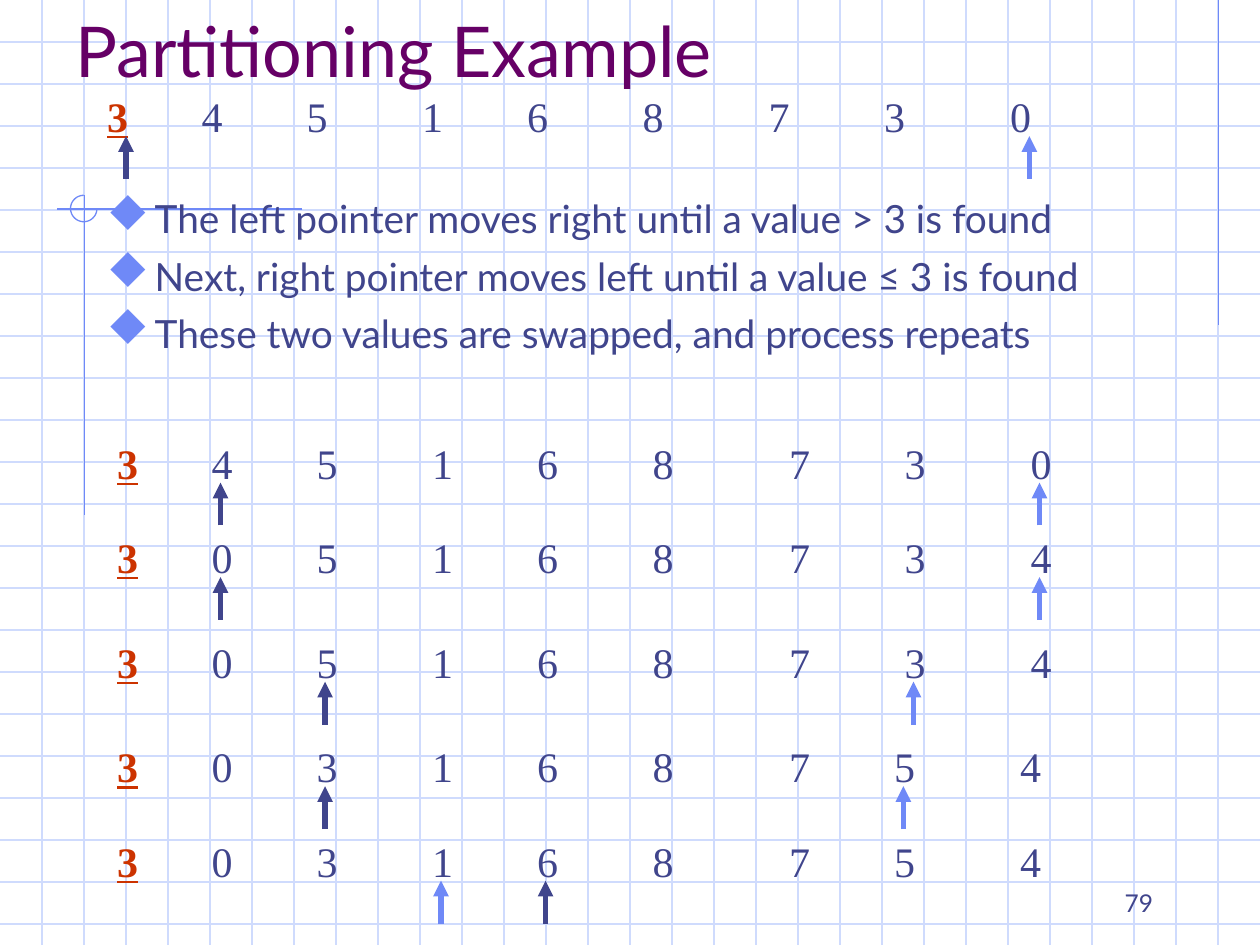
from math import cos, pi, sin
from lxml.etree import SubElement
from pptx import Presentation
from pptx.dml.color import RGBColor
from pptx.enum.shapes import MSO_CONNECTOR
from pptx.enum.text import MSO_ANCHOR, MSO_AUTO_SIZE, PP_ALIGN
from pptx.oxml.ns import qn
from pptx.util import Inches, Pt

COLORS = {
    "grid": "CFDBFD",
    "blue": "6F89F7",
    "navy": "40458C",
    "title": "660066",
    "pivot": "CC3300",
}
BULLETS = [
    "The left pointer moves right until a value > 3 is found",
    "Next, right pointer moves left until a value ≤ 3 is found",
    "These two values are swapped, and process repeats",
]
FIRST = [9, 19, 30, 40, 51, 63, 74, 86]
WIDE = [9, 19, 30, 40, 51, 64, 75, 87]
NARROW = [9, 19, 30, 40, 51, 64, 74, 86]
ROWS = [
    (0.58, 0.67, "345168730", FIRST, 1, 8.17),
    (0.66, 3.42, "345168730", WIDE, 1.75, 8.25),
    (0.66, 4.17, "305168734", WIDE, 1.75, 8.25),
    (0.66, 5, "305168734", WIDE, 2.58, 7.25),
    (0.66, 5.83, "303168754", NARROW, 2.58, 7.17),
    (0.66, 6.58, "303168754", NARROW, 4.33, 3.5),
]


def rgb(name):
    return RGBColor.from_string(COLORS[name])


def write(par, text, size=24, font="Lato", color="navy", bold=False, under=False):
    run = par.add_run()
    run.text = text
    style = run.font
    style.size, style.name = Pt(size), font
    style.bold, style.underline = bold, under
    style.color.rgb = rgb(color)


class Deck:
    def __init__(self):
        self.prs = Presentation()
        self.prs.slide_width, self.prs.slide_height = Inches(10), Inches(7.5)
        self.slide = self.prs.slides.add_slide(self.prs.slide_layouts[5])
        self.shapes = self.slide.shapes

    def line(self, x1, y1, x2, y2, color="blue", width=0.75, arrow=False):
        ends = [Inches(v) for v in (x1, y1, x2, y2)]
        line = self.shapes.add_connector(MSO_CONNECTOR.STRAIGHT, *ends)
        line.line.color.rgb = rgb(color)
        line.line.width = Pt(width)
        props = line.element.spPr
        if arrow:
            SubElement(props.find(qn("a:ln")), qn("a:tailEnd"), type="triangle")
        SubElement(props, qn("a:effectLst"))

    def arc(self, x, y, radius):
        turns = [-pi / 2 - 1.5 * pi * i / 36 for i in range(37)]
        points = [
            (Inches(x + radius * cos(t)), Inches(y + radius * sin(t))) for t in turns
        ]
        path = self.shapes.build_freeform(*points[0])
        path.add_line_segments(points[1:], close=False)
        arc = path.convert_to_shape()
        arc.shadow.inherit = False
        arc.fill.background()
        arc.line.color.rgb = rgb("blue")
        arc.line.width = Pt(0.75)

    def frame(self, box, anchor=MSO_ANCHOR.TOP):
        frame = box.text_frame
        frame.word_wrap = True
        frame.auto_size = MSO_AUTO_SIZE.NONE
        frame.vertical_anchor = anchor
        frame.margin_left = frame.margin_right = Inches(0.1)
        frame.margin_top = frame.margin_bottom = Inches(0.05)
        return frame

    def text(self, x, y, w, h, anchor=MSO_ANCHOR.TOP):
        box = self.shapes.add_textbox(Inches(x), Inches(y), Inches(w), Inches(h))
        return self.frame(box, anchor)

    def title(self, text):
        box = self.shapes.title
        box.left, box.top = Inches(0.5), Inches(0)
        box.width, box.height = Inches(9), Inches(0.78)
        box.element.getparent().append(box.element)
        par = self.frame(box, MSO_ANCHOR.BOTTOM).paragraphs[0]
        par.alignment = PP_ALIGN.LEFT
        write(par, text, size=40, color="title")

    def grid(self):
        for i in range(1, 23):
            self.line(0, i / 3, 10, i / 3, color="grid")
        for i in range(1, 30):
            self.line(i / 3, 0, i / 3, 7.5, color="grid")

    def bullets(self, items):
        frame = self.text(0.75, 1.5, 8.5, 1.44)
        for i, item in enumerate(items):
            par = frame.add_paragraph() if i else frame.paragraphs[0]
            props = par._p.get_or_add_pPr()
            indent = Inches(0.38)
            props.set("marL", str(indent))
            props.set("indent", str(-indent))
            tint = SubElement(props, qn("a:buClr"))
            SubElement(tint, qn("a:srgbClr"), val=COLORS["blue"])
            SubElement(props, qn("a:buSzPct"), val="110000")
            SubElement(props, qn("a:buFont"), typeface="Wingdings", charset="2")
            SubElement(props, qn("a:buChar"), char="u")
            if i:
                par.space_before = Pt(6)
            write(par, item, size=22.2)

    def row(self, x, y, digits, stops, left, right):
        frame = self.text(x, y, 8.5, 0.5)
        frame.margin_left = Inches(0.27)
        par = frame.paragraphs[0]
        tabs = SubElement(par._p.get_or_add_pPr(), qn("a:tabLst"))
        for stop in stops:
            SubElement(tabs, qn("a:tab"), pos=str(Inches(stop / 12)), algn="l")
        font = "Times New Roman"
        write(par, digits[0], font=font, color="pivot", bold=True, under=True)
        write(par, "\t" + "\t".join(digits[1:]), font=font)
        for spot, color in ((left, "navy"), (right, "blue")):
            self.line(spot, y + 0.75, spot, y + 0.41, color, 3, arrow=True)

    def number(self, text):
        par = self.text(7.17, 6.83, 2.08, 0.5, MSO_ANCHOR.BOTTOM).paragraphs[0]
        par.alignment = PP_ALIGN.RIGHT
        write(par, text, size=14)


def main():
    deck = Deck()
    deck.grid()
    deck.line(9.67, 0, 9.67, 2.58)
    deck.line(2.4, 1.66, 0.45, 1.66)
    deck.line(0.67, 1.55, 0.67, 4.09)
    deck.arc(0.665, 1.655, 0.105)
    deck.title("Partitioning Example")
    deck.bullets(BULLETS)
    for row in ROWS:
        deck.row(*row)
    deck.number("79")
    deck.prs.save("out.pptx")


if __name__ == "__main__":
    main()
